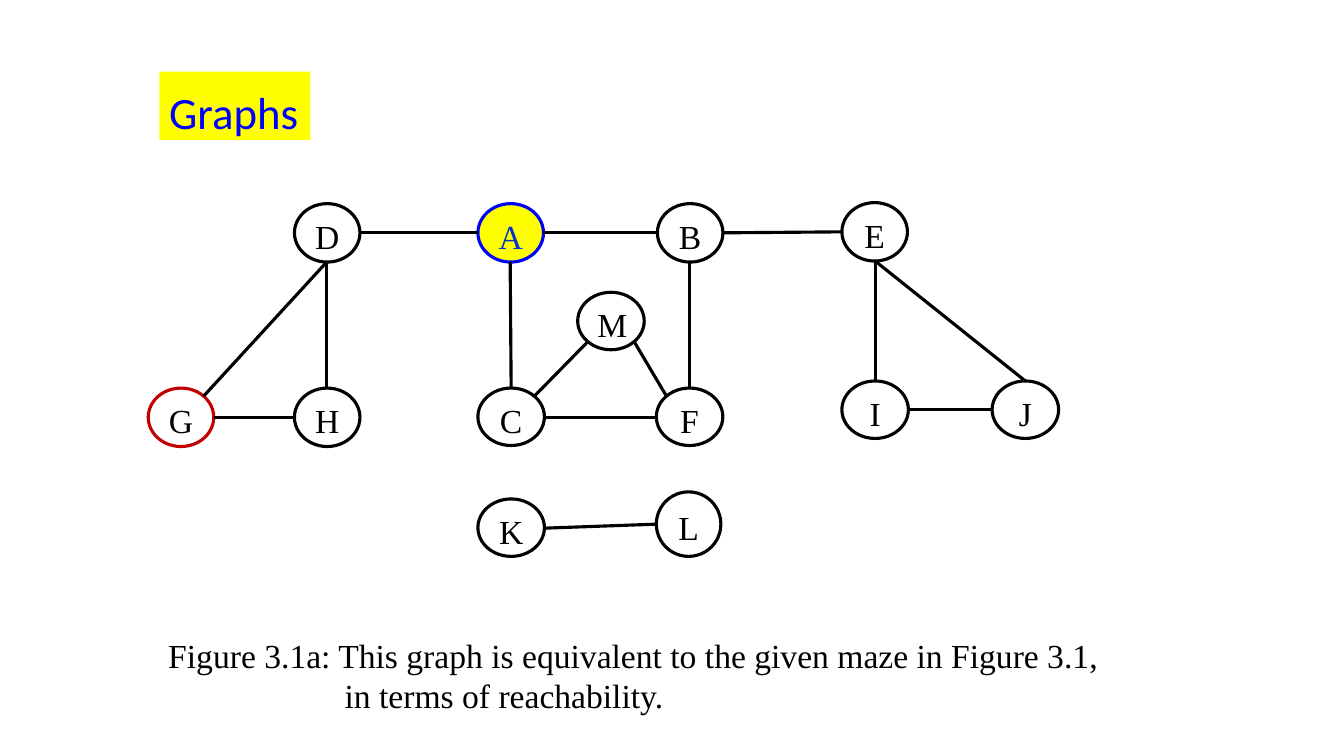
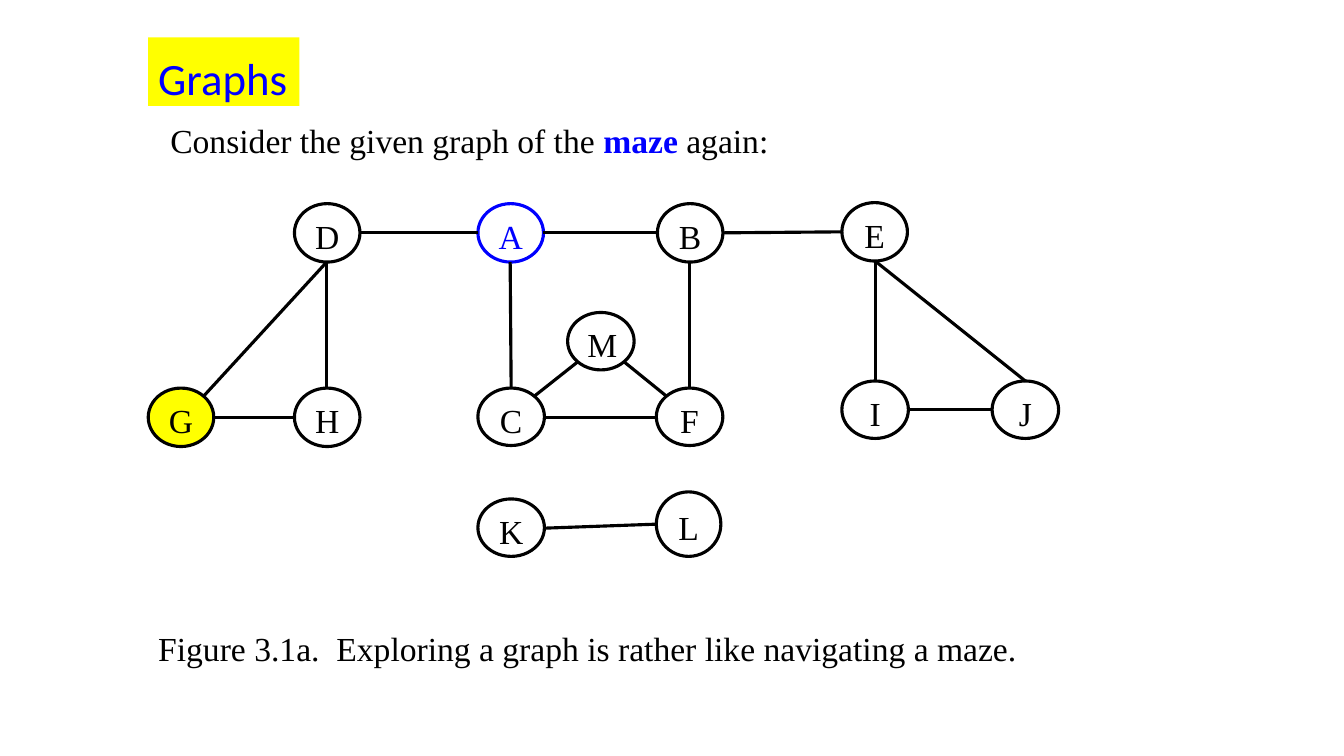
from dataclasses import dataclass
from math import sqrt

import pptx
import pptx.dml.color
import pptx.enum.shapes
import pptx.enum.text
import pptx.util
from lxml import etree
from pptx.oxml.ns import qn

# Shared scale and style
PX = 9144  # EMU; 100 px make one inch
WIDTH, HEIGHT = 1333, 750
BLACK, WHITE, BLUE = "000000", "FFFFFF", "0000FF"
YELLOW, RED, DARK_BLUE = "FFFF00", "C00000", "0033CC"
SERIF, SANS = "Times New Roman", "Calibri"
LINE_POINTS = 2.25

# Unit steps from a node's centre towards its rim
DIAGONAL = 1 / sqrt(2)
DIRECTIONS = {
    "N": (0, -1), "S": (0, 1), "W": (-1, 0), "E": (1, 0),
    "NW": (-DIAGONAL, -DIAGONAL), "NE": (DIAGONAL, -DIAGONAL),
    "SW": (-DIAGONAL, DIAGONAL), "SE": (DIAGONAL, DIAGONAL),
}


@dataclass(frozen=True)
class Node:
    left: int
    top: int
    width: int = 66
    height: int = 57

    def rim(self, direction: str) -> tuple[int, int]:
        step_x, step_y = DIRECTIONS[direction]
        return (round(self.left + self.width / 2 * (1 + step_x)),
                round(self.top + self.height / 2 * (1 + step_y)))


@dataclass(frozen=True)
class Look:
    fill: str = WHITE
    line: str = BLACK
    text: str = BLACK


@dataclass(frozen=True)
class Edge:
    start: str
    start_side: str
    end: str
    end_side: str


@dataclass(frozen=True)
class Span:
    text: str
    color: str = BLACK
    bold: bool = False
    font: str = SERIF
    size: int = 24


@dataclass(frozen=True)
class Paragraph:
    spans: tuple[Span, ...]
    spacing: float = 1.0
    margin: int = 0
    indent: int = 0


# The maze graph, common to both slides except for node M
NODES = {
    "D": Node(292, 202, 65, 58), "A": Node(474, 202, 65, 58),
    "B": Node(652, 202, 65, 58), "E": Node(835, 201, 65, 58),
    "G": Node(147, 385, 65, 58), "H": Node(292, 385, 65, 58),
    "C": Node(474, 385), "F": Node(651, 385),
    "I": Node(835, 378), "J": Node(984, 378),
    "K": Node(474, 495), "L": Node(651, 488, 64, 64),
}
EDGES = [
    Edge("D", "S", "G", "NE"), Edge("D", "S", "H", "N"),
    Edge("H", "W", "G", "E"), Edge("F", "W", "C", "E"),
    Edge("A", "S", "C", "N"), Edge("B", "S", "F", "N"),
    Edge("E", "S", "I", "N"), Edge("E", "S", "J", "N"),
    Edge("J", "W", "I", "E"), Edge("B", "W", "A", "E"),
    Edge("A", "W", "D", "E"), Edge("E", "W", "B", "E"),
    Edge("L", "W", "K", "E"),
    Edge("M", "SE", "F", "NW"), Edge("M", "SW", "C", "NE"),
]


def px(length: int) -> pptx.util.Emu:
    return pptx.util.Emu(length * PX)


def rgb(color: str) -> pptx.dml.color.RGBColor:
    return pptx.dml.color.RGBColor.from_string(color)


def add_span(para, span: Span) -> None:
    run = para.add_run()
    run.text = span.text
    run.font.name = span.font
    run.font.size = pptx.util.Pt(span.size)
    run.font.bold = span.bold
    run.font.color.rgb = rgb(span.color)


def add_text(page, left: int, top: int, width: int, height: int,
             paragraphs: list[Paragraph], wrap: bool = True):
    box = page.shapes.add_textbox(px(left), px(top), px(width), px(height))
    frame = box.text_frame
    frame.word_wrap = wrap
    frame.auto_size = pptx.enum.text.MSO_AUTO_SIZE.SHAPE_TO_FIT_TEXT
    for index, paragraph in enumerate(paragraphs):
        para = frame.add_paragraph() if index else frame.paragraphs[0]
        para.line_spacing = paragraph.spacing
        properties = para._p.get_or_add_pPr()
        properties.set("marL", str(px(paragraph.margin)))
        properties.set("indent", str(px(paragraph.indent)))
        for span in paragraph.spans:
            add_span(para, span)
    return box


def add_title(page, left: int, top: int) -> None:
    heading = Paragraph((Span("Graphs", BLUE, font=SANS, size=32),), 1.15, 50, -50)
    box = add_text(page, left, top, 150, 68, [heading], wrap=False)
    box.fill.solid()
    box.fill.fore_color.rgb = rgb(YELLOW)


def add_node(page, label: str, node: Node, look: Look) -> None:
    oval = page.shapes.add_shape(
        pptx.enum.shapes.MSO_SHAPE.OVAL,
        px(node.left), px(node.top), px(node.width), px(node.height))
    oval.shadow.inherit = False
    oval.fill.solid()
    oval.fill.fore_color.rgb = rgb(look.fill)
    oval.line.color.rgb = rgb(look.line)
    oval.line.width = pptx.util.Pt(LINE_POINTS)
    oval.text_frame.vertical_anchor = pptx.enum.text.MSO_ANCHOR.MIDDLE
    para = oval.text_frame.paragraphs[0]
    para.alignment = pptx.enum.text.PP_ALIGN.CENTER
    para.line_spacing = 1.15
    para.space_after = pptx.util.Pt(10)
    add_span(para, Span(label, look.text))


def add_edge(page, start: tuple[int, int], end: tuple[int, int]) -> None:
    line = page.shapes.add_connector(
        pptx.enum.shapes.MSO_CONNECTOR.STRAIGHT,
        px(start[0]), px(start[1]), px(end[0]), px(end[1]))
    line.line.color.rgb = rgb(BLACK)
    line.line.width = pptx.util.Pt(LINE_POINTS)
    etree.SubElement(line._element.spPr, qn("a:effectLst"))


def add_graph(page, middle: Node, looks: dict[str, Look]) -> None:
    nodes = {**NODES, "M": middle}
    for label, node in nodes.items():
        add_node(page, label, node, looks.get(label, Look()))
    for edge in EDGES:
        add_edge(page, nodes[edge.start].rim(edge.start_side),
                 nodes[edge.end].rim(edge.end_side))


def build_equivalence(page) -> None:
    add_graph(page, Node(573, 290),
              {"A": Look(YELLOW, BLUE, DARK_BLUE), "G": Look(line=RED)})
    add_text(page, 157, 625, 946, 91, [
        Paragraph((Span("Figure 3.1a: This graph is equivalent to the given maze in Figure 3.1,"),)),
        Paragraph((Span("in terms of reachability."),), margin=175),
    ])
    add_title(page, 158, 71)


def build_exploring(page) -> None:
    add_graph(page, Node(563, 310),
              {"A": Look(line=BLUE, text=BLUE), "G": Look(fill=YELLOW)})
    add_text(page, 159, 94, 759, 66, [Paragraph((
        Span("Consider the given graph of the "),
        Span("maze", BLUE, bold=True),
        Span(" again:")), 1.5)])
    add_text(page, 147, 598, 879, 66, [Paragraph((
        Span("Figure 3.1a.  Exploring a graph is rather like navigating a maze."),), 1.5)],
        wrap=False)
    add_title(page, 147, 37)


def main() -> None:
    deck = pptx.Presentation()
    deck.slide_width, deck.slide_height = px(WIDTH), px(HEIGHT)
    for build in (build_equivalence, build_exploring):
        build(deck.slides.add_slide(deck.slide_layouts[6]))
    deck.save("out.pptx")


if __name__ == "__main__":
    main()
